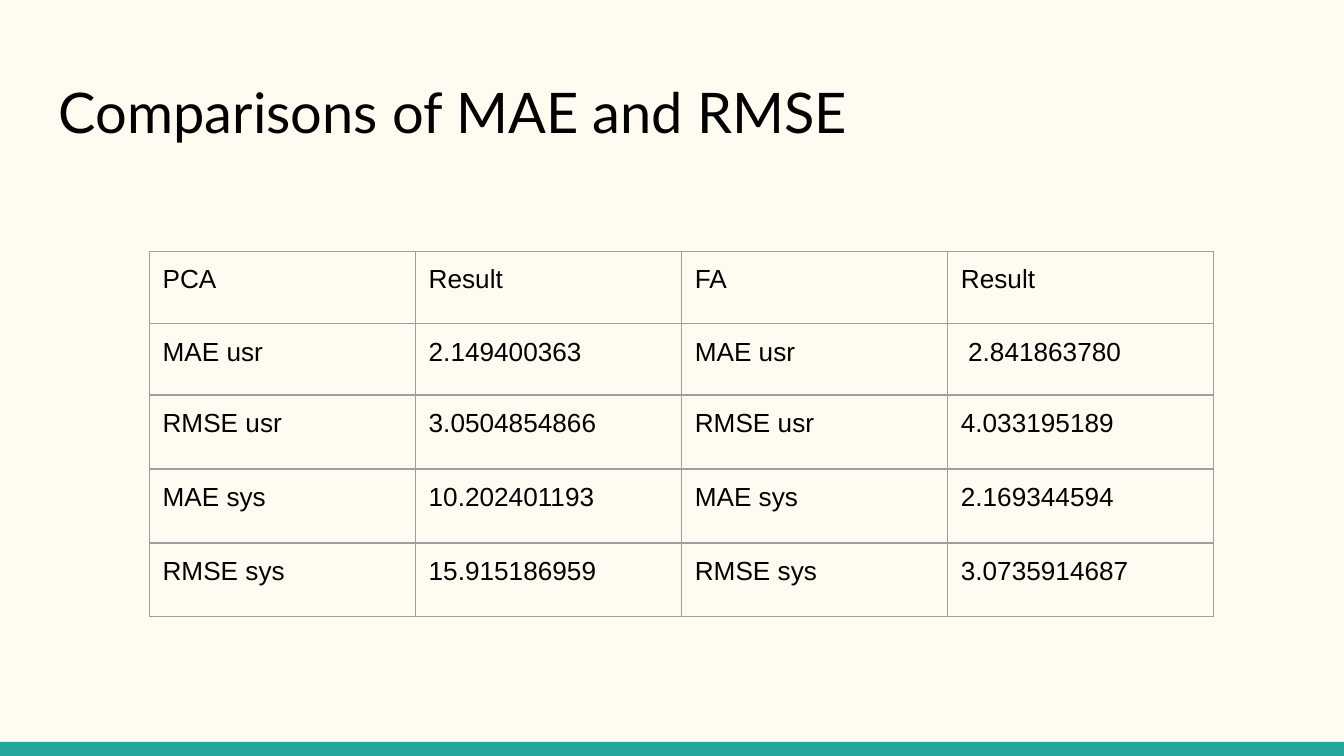
from pptx import Presentation
from pptx.dml.color import RGBColor
from pptx.enum.shapes import MSO_SHAPE as Shape
from pptx.enum.text import MSO_ANCHOR as Anchor
from pptx.oxml.xmlchemy import OxmlElement as element
from pptx.util import Inches, Pt

RESULTS = [
    ["PCA", "Result", "FA", "Result"],
    ["MAE usr", "2.149400363", "MAE usr", " 2.841863780"],
    ["RMSE usr", "3.0504854866", "RMSE usr", "4.033195189"],
    ["MAE sys", "10.202401193", "MAE sys", "2.169344594"],
    ["RMSE sys", "15.915186959", "RMSE sys", "3.0735914687"],
]
ROW_HEIGHTS = [0.54, 0.53, 0.55, 0.55, 0.55]
COLUMN_WIDTH = 1.98


def color(value):
    return RGBColor.from_string(value)


def write(frame, text, font="Arial", size=14, ink="000000"):
    span = frame.paragraphs[0].add_run()
    span.text = text
    span.font.name = font
    span.font.size = Pt(size)
    span.font.color.rgb = color(ink)


def pad(target, margin=0.1):
    target.margin_left = target.margin_right = Inches(margin)
    target.margin_top = target.margin_bottom = Inches(margin)


class Slide:
    background = "FFFBF0"
    accent = "26A69A"
    border = "9E9E9E"
    border_width = 0.75

    def __init__(self, deck):
        self.page = deck.slides.add_slide(deck.slide_layouts[6])
        fill = self.page.background.fill
        fill.solid()
        fill.fore_color.rgb = color(self.background)

    def bar(self, *bounds):
        bar = self.page.shapes.add_shape(Shape.RECTANGLE, *map(Inches, bounds))
        bar.shadow.inherit = False
        bar.fill.solid()
        bar.fill.fore_color.rgb = color(self.accent)
        bar.line.fill.background()

    def title(self, text, *bounds):
        frame = self.page.shapes.add_textbox(*map(Inches, bounds)).text_frame
        frame.word_wrap = True
        frame.vertical_anchor = Anchor.TOP
        pad(frame)
        write(frame, text, font="Lato", size=30)

    def outline(self, cell):
        properties = cell._tc.get_or_add_tcPr()
        for side in ("a:lnL", "a:lnR", "a:lnT", "a:lnB"):
            line = element(side)
            line.set("w", str(Pt(self.border_width)))
            fill = element("a:solidFill")
            tint = element("a:srgbClr")
            tint.set("val", self.border)
            fill.append(tint)
            line.append(fill)
            properties.append(line)

    def table(self, rows, left, top, column_width, row_heights):
        columns = len(rows[0])
        table = self.page.shapes.add_table(
            len(rows), columns, Inches(left), Inches(top),
            Inches(column_width * columns), Inches(sum(row_heights))).table
        table.first_row = table.horz_banding = False
        for column in table.columns:
            column.width = Inches(column_width)
        for row, height, texts in zip(table.rows, row_heights, rows):
            row.height = Inches(height)
            for cell, text in zip(row.cells, texts):
                pad(cell)
                self.outline(cell)
                cell.fill.background()
                write(cell.text_frame, text)


def main():
    deck = Presentation()
    deck.slide_width = Inches(10)
    deck.slide_height = deck.slide_width * 9 // 16
    slide = Slide(deck)
    slide.bar(0, 5.52, 10, 0.11)
    slide.title("Comparisons of MAE and RMSE", 0.34, 0.48, 9.32, 0.67)
    slide.table(RESULTS, 1.11, 1.87, COLUMN_WIDTH, ROW_HEIGHTS)
    deck.save("out.pptx")


if __name__ == "__main__":
    main()
